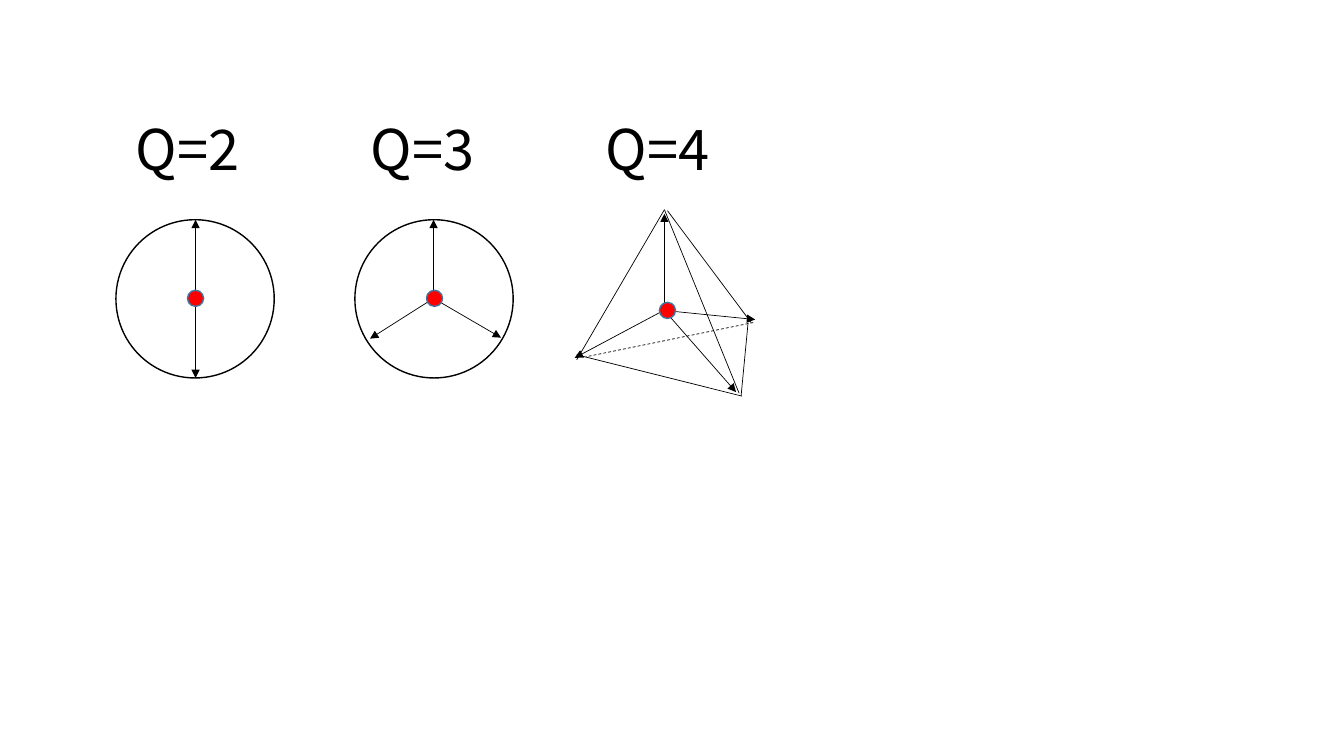
from dataclasses import dataclass

from lxml import etree
from pptx import Presentation
from pptx import util as u
from pptx.dml.color import RGBColor
from pptx.enum import dml, shapes, text
from pptx.oxml.ns import qn


@dataclass(frozen=True)
class Theme:
    ink: RGBColor = RGBColor(0, 0, 0)
    paper: RGBColor = RGBColor(255, 255, 255)
    center: RGBColor = RGBColor(255, 0, 0)
    center_edge: RGBColor = RGBColor(0x43, 0x73, 0x9E)
    font: str = "Noto Sans CJK JP"
    label_size: int = 40
    outline: float = 1
    thin: float = 0.5


theme = Theme()

# Content: each state count with its circle, vectors and center, in inches
CIRCLE, DOT = 1.57, 0.16
diagrams = [
    {"label": "Q=2", "circle": (1.15, 2.18), "circle_fill": theme.paper,
     "center": (1.94, 2.96),
     "vectors": [((1.94, 2.88), (1.94, 2.18)), ((1.94, 3.04), (1.94, 3.75))]},
    {"label": "Q=3", "circle": (3.52, 2.18), "circle_fill": None,
     "center": (4.31, 2.96),
     "vectors": [((4.3, 2.96), end)
                 for end in [(4.3, 2.18), (3.67, 3.36), (4.97, 3.35)]]},
    {"label": "Q=4", "center": (6.62, 3.08),
     "vectors": [((6.59, 3.09), (6.59, 2.12)), ((6.62, 3.06), (5.7, 3.55)),
                 ((6.59, 3.08), (7.3, 3.89)), ((6.59, 3.08), (7.49, 3.17))],
     "edges": [((6.59, 2.08), (5.72, 3.57)), ((6.59, 2.08), (7.33, 3.9)),
               ((6.62, 2.09), (7.45, 3.2)), ((7.36, 3.93), (5.72, 3.52)),
               ((7.42, 3.2), (7.35, 3.93))],
     "hidden_edges": [((7.47, 3.2), (5.81, 3.54))]},
]
LABEL_LEFT, LABEL_TOP, LABEL_STEP = 1.25, 1.09, 2.33
LABEL_WIDTH, LABEL_HEIGHT = 1.33, 0.77


def add_circle(parent, left, top, diameter, fill, edge):
    circle = parent.add_shape(shapes.MSO_SHAPE.OVAL, u.Inches(left), u.Inches(top),
                              u.Inches(diameter), u.Inches(diameter))
    circle.shadow.inherit = False
    if fill is None:
        circle.fill.background()
    else:
        circle.fill.solid()
        circle.fill.fore_color.rgb = fill
    circle.line.color.rgb = edge
    circle.line.width = u.Pt(theme.outline)


def add_segment(parent, start, end, arrow=False, dashed=False):
    segment = parent.add_connector(shapes.MSO_CONNECTOR.STRAIGHT,
                                   *(u.Inches(v) for v in start + end))
    segment.line.color.rgb = theme.ink
    segment.line.width = u.Pt(theme.thin)
    if dashed:
        segment.line.dash_style = dml.MSO_LINE.DASH
    properties = segment._element.spPr
    if arrow:
        etree.SubElement(properties.find(qn("a:ln")), qn("a:tailEnd"), type="triangle")
    etree.SubElement(properties, qn("a:effectLst"))


def add_label(parent, words, left):
    box = parent.add_textbox(u.Inches(left), u.Inches(LABEL_TOP),
                             u.Inches(LABEL_WIDTH), u.Inches(LABEL_HEIGHT))
    frame = box.text_frame
    frame.word_wrap = False
    frame.auto_size = text.MSO_AUTO_SIZE.SHAPE_TO_FIT_TEXT
    run = frame.paragraphs[0].add_run()
    run.text = words
    run.font.name = theme.font
    run.font.size = u.Pt(theme.label_size)
    run.font.color.rgb = theme.ink


deck = Presentation()
deck.slide_width, deck.slide_height = u.Inches(13.33), u.Inches(7.5)
slide = deck.slides.add_slide(deck.slide_layouts[6])

# Diagrams: circle or tetrahedron, vectors, then the center dot on top
for diagram in diagrams:
    canvas = slide.shapes
    if "circle" in diagram:
        add_circle(canvas, *diagram["circle"], CIRCLE, diagram["circle_fill"], theme.ink)
    else:
        canvas = slide.shapes.add_group_shape().shapes
    for start, end in diagram["vectors"]:
        add_segment(canvas, start, end, arrow=True)
    for start, end in diagram.get("edges", []):
        add_segment(canvas, start, end)
    for start, end in diagram.get("hidden_edges", []):
        add_segment(canvas, start, end, dashed=True)
    x, y = diagram["center"]
    add_circle(slide.shapes, x - DOT / 2, y - DOT / 2, DOT,
               theme.center, theme.center_edge)

# Labels: one above each diagram
for column, diagram in enumerate(diagrams):
    add_label(slide.shapes, diagram["label"], LABEL_LEFT + column * LABEL_STEP)

deck.save("out.pptx")
